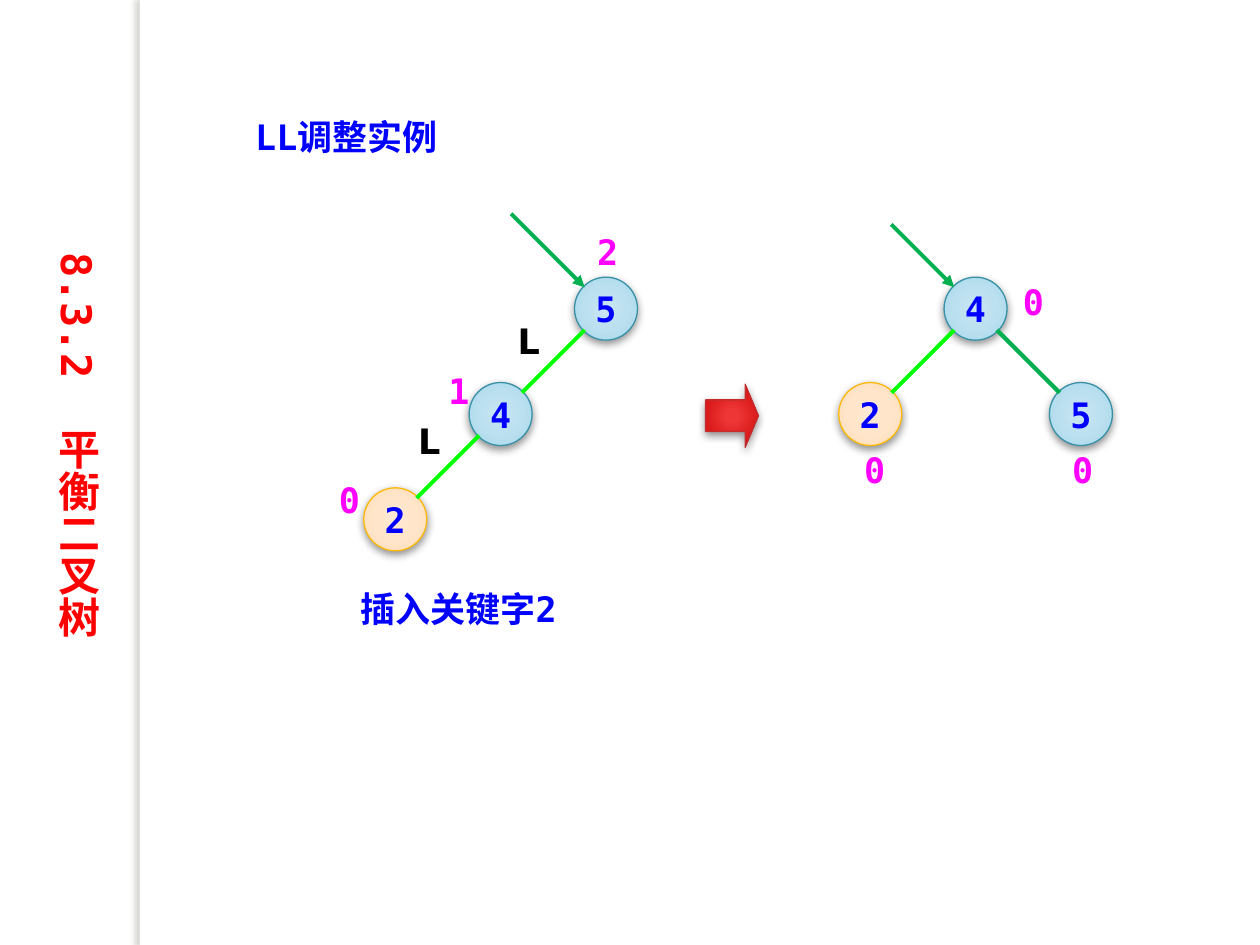
from dataclasses import dataclass

from lxml import etree
from pptx import Presentation
from pptx import util as u
from pptx.dml.color import RGBColor
from pptx.enum import shapes, text
from pptx.oxml import parse_xml
from pptx.oxml.ns import nsdecls, qn


@dataclass(frozen=True)
class Theme:
    mono: str = "DejaVu Sans Mono"
    sans: str = "DejaVu Sans"
    title_size: int = 24
    body_size: int = 20
    title: str = "FF0000"
    key: str = "0000FF"
    balance: str = "FF00FF"
    side: str = "000000"
    strip: str = "FFFFFF"
    strip_shadow: str = "736F63"
    edge: str = "00FF00"
    pointer: str = "00B050"
    blue: tuple = ("3891A7", ((0, "C9E6F2"), (50, "BBE0EF"), (97, "A4D8ED"), (100, "9BD7EE")))
    orange: tuple = ("FEB80A", ((0, "FFE9D3"), (50, "FFE5C9"), (97, "FFDDB7"), (100, "FFDBB2")))
    red: tuple = ("C32D2E", ((0, "EF3737"), (15, "EE3637"), (62, "DB1C1C"), (97, "C70C0D"), (100, "C30001")))


T = Theme()
NODE = 36
STEP = 60.2
TOUCH = 12.2


def rgb(color):
    return RGBColor.from_string(color)


def style(p, size, color, font=T.mono):
    f = p.font
    f.name, f.size, f.bold = font, u.Pt(size), True
    f.color.rgb = rgb(color)


def add_shadow(sp, color, alpha, blur, dist, angle):
    sp._element.spPr.append(parse_xml(
        f'<a:effectLst {nsdecls("a")}><a:outerShdw blurRad="{u.Pt(blur)}" dist="{u.Pt(dist)}" '
        f'dir="{angle * 60000}" rotWithShape="0"><a:srgbClr val="{color}">'
        f'<a:alpha val="{alpha * 1000}"/></a:srgbClr></a:outerShdw></a:effectLst>'))


def add_shape(s, kind, x, y, w, h):
    return s.shapes.add_shape(kind, u.Pt(x), u.Pt(y), u.Pt(w), u.Pt(h))


def add_glossy(s, kind, x, y, w, h, palette):
    outline, stops = palette
    sp = add_shape(s, kind, x, y, w, h)
    sp.fill.solid()
    sp.line.color.rgb = rgb(outline)
    sp.line.width = u.Pt(0.75)
    stop_xml = "".join(f'<a:gs pos="{pos * 1000}"><a:srgbClr val="{c}"/></a:gs>' for pos, c in stops)
    spPr = sp._element.spPr
    spPr.replace(spPr.find(qn("a:solidFill")), parse_xml(
        f'<a:gradFill {nsdecls("a")} rotWithShape="1"><a:gsLst>{stop_xml}</a:gsLst><a:path path="circle">'
        '<a:fillToRect l="50000" t="50000" r="50000" b="50000"/></a:path></a:gradFill>'))
    add_shadow(sp, "000000", 43, 5, 2, 90)
    return sp


def add_node(s, key, center, palette=T.blue):
    cx, cy = center
    sp = add_glossy(s, shapes.MSO_SHAPE.OVAL, cx - NODE / 2, cy - NODE / 2, NODE, NODE, palette)
    tf = sp.text_frame
    tf.word_wrap = False
    tf.vertical_anchor = text.MSO_ANCHOR.MIDDLE
    p = tf.paragraphs[0]
    p.text = key
    p.alignment = text.PP_ALIGN.CENTER
    style(p, T.body_size, T.key)


def add_line(s, start, end, color, arrow=False):
    ends = [u.Pt(v) for v in (*start, *end)]
    cn = s.shapes.add_connector(shapes.MSO_CONNECTOR.STRAIGHT, *ends)
    cn.line.color.rgb = rgb(color)
    cn.line.width = u.Pt(2.25)
    if arrow:
        etree.SubElement(cn.line._get_or_add_ln(), qn("a:tailEnd"), type="triangle")
    etree.SubElement(cn._element.spPr, qn("a:effectLst"))
    return cn


def add_edge(s, parent, child, color=T.edge):
    (px, py), (cx, cy) = parent, child
    dx = TOUCH if cx > px else -TOUCH
    return add_line(s, (px + dx, py + TOUCH), (cx - dx, cy - TOUCH), color)


def add_pointer(s, root, length):
    x, y = root[0] - TOUCH, root[1] - TOUCH
    add_line(s, (x - length, y - length), (x, y), T.pointer, arrow=True)


def add_label(s, words, x, y, color, w=22.3, h=31.5, font=T.mono):
    tf = s.shapes.add_textbox(u.Pt(x), u.Pt(y), u.Pt(w), u.Pt(h)).text_frame
    tf.word_wrap = True
    p = tf.paragraphs[0]
    p.text = words
    style(p, T.body_size, color, font)
    return p


def add_title(s, words):
    sp = s.shapes.title
    sp.left, sp.top, sp.width, sp.height = u.Pt(22.3), u.Pt(140.4), u.Pt(43.9), u.Pt(247.7)
    tf = sp.text_frame
    tf.text = words
    tf.auto_size = text.MSO_AUTO_SIZE.NONE
    tf.vertical_anchor = text.MSO_ANCHOR.TOP
    tf._txBody.bodyPr.set("vert", "eaVert")
    p = tf.paragraphs[0]
    p.alignment = text.PP_ALIGN.CENTER
    style(p, T.title_size, T.title)


def add_strip(s):
    sp = add_shape(s, shapes.MSO_SHAPE.RECTANGLE, 79.9, 0, 5.8, 540)
    sp.fill.solid()
    sp.fill.fore_color.rgb = rgb(T.strip)
    sp.line.fill.background()
    add_shadow(sp, T.strip_shadow, 25, 3, 3, 180)


def add_tree_before(s):
    root = (346.3, 176.4)
    middle, leaf = [(root[0] - i * STEP, root[1] + i * STEP) for i in (1, 2)]
    add_node(s, "5", root)
    add_node(s, "4", middle)
    add_node(s, "2", leaf, T.orange)
    add_edge(s, root, middle)
    add_edge(s, middle, leaf)
    add_pointer(s, root, 42)
    for x, y in ((288.7, 179.3), (231.8, 236.2)):
        add_label(s, "L", x, y, T.side, font=T.sans)
    for value, x, y in (("0", 186.5, 270), ("1", 249.1, 207.4), ("2", 334.1, 128.2)):
        add_label(s, value, x, y, T.balance)


def add_tree_after(s):
    root = (557.5, 176.4)
    left, right = [(root[0] + d * STEP, root[1] + STEP) for d in (-1, 1)]
    add_node(s, "4", root)
    add_node(s, "2", left, T.orange)
    add_node(s, "5", right)
    add_edge(s, root, left)
    add_edge(s, root, right, T.pointer).line.width = u.Pt(2.5)
    add_pointer(s, root, 36)
    for x, y in ((486.7, 252.7), (605.5, 252.7), (577.4, 157)):
        add_label(s, "0", x, y, T.balance)


def main():
    prs = Presentation()
    prs.slide_width, prs.slide_height = u.Pt(720), u.Pt(540)
    s = prs.slides.add_slide(prs.slide_layouts[5])
    add_strip(s)
    add_title(s, "8.3.2  平衡二叉树")
    add_label(s, " LL调整实例", 126.7, 56.2, T.key, 187.2, 34.6).line_spacing = 1.25
    add_tree_before(s)
    add_label(s, "插入关键字2", 198.7, 331.9, T.key, 144.7)
    arrow = add_glossy(s, shapes.MSO_SHAPE.RIGHT_ARROW, 403.2, 219.6, 30.2, 36, T.red)
    arrow.adjustments[1] = 0.25
    add_tree_after(s)
    prs.save("out.pptx")


main()
